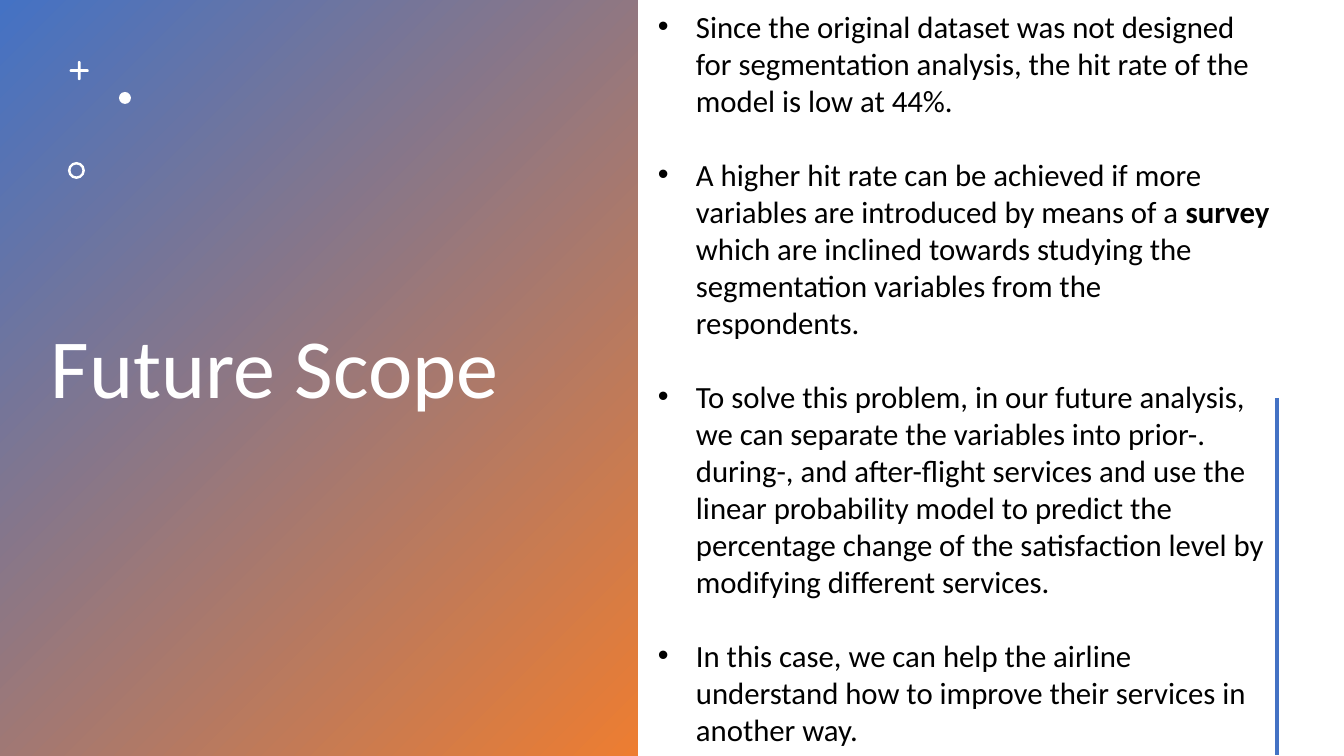
import math

from lxml import etree
from pptx import Presentation
from pptx import util as u
from pptx.dml.color import RGBColor
from pptx.enum import shapes, text
from pptx.oxml import ns

PX = 12192000 / 1344
BLUE = RGBColor(0x44, 0x72, 0xC4)
ORANGE = RGBColor(0xED, 0x7D, 0x31)
WHITE = RGBColor(0xFF, 0xFF, 0xFF)
BLACK = RGBColor(0x00, 0x00, 0x00)


def px(*lengths):
    return [u.Emu(round(length * PX)) for length in lengths]


def add_run(paragraph, words, size, color, bold=False):
    run = paragraph.add_run()
    run.text = words
    run.font.name = "Calibri"
    run.font.size = u.Pt(size)
    run.font.color.rgb = color
    run.font.bold = bold


presentation = Presentation()
presentation.slide_width, presentation.slide_height = px(1344, 756)
slide = presentation.slides.add_slide(presentation.slide_layouts[6])

# Gradient panel
panel = slide.shapes.add_shape(shapes.MSO_SHAPE.RECTANGLE, *px(0, 0, 638, 756))
panel.shadow.inherit = False
panel.line.fill.background()
panel.fill.gradient()
panel.fill.gradient_angle = 315
for stop, color in zip(panel.fill.gradient_stops, (BLUE, ORANGE)):
    stop.color.rgb = color

# Title
title = slide.shapes.add_textbox(*px(41, 42, 592, 658)).text_frame
title.word_wrap = True
title.vertical_anchor = text.MSO_ANCHOR.MIDDLE
title.paragraphs[0].line_spacing = 0.9
add_run(title.paragraphs[0], "Future Scope", size=60, color=WHITE)

# Plus sign with round ends, in tenths of a px
center_x, center_y, reach, radius = 792, 706, 81, 14
outline = []
for arm in range(0, 360, 90):
    arm_x = center_x + reach * math.cos(math.radians(arm))
    arm_y = center_y + reach * math.sin(math.radians(arm))
    for turn in range(arm - 90, arm + 91, 15):
        angle = math.radians(turn)
        outline.append((arm_x + radius * math.cos(angle), arm_y + radius * math.sin(angle)))
    inner = math.radians(arm + 45)
    outline.append((center_x + radius * math.sqrt(2) * math.cos(inner),
                    center_y + radius * math.sqrt(2) * math.sin(inner)))
builder = slide.shapes.build_freeform(*outline[0], scale=PX / 10)
builder.add_line_segments(outline[1:], close=True)
plus = builder.convert_to_shape()

# Dot and ring
dot = slide.shapes.add_shape(shapes.MSO_SHAPE.OVAL, *px(119, 92, 12, 12))
ring = slide.shapes.add_shape(shapes.MSO_SHAPE.DONUT, *px(68, 162, 17, 17))
ring.adjustments[0] = 0.15
for ornament in (plus, dot, ring):
    ornament.shadow.inherit = False
    ornament.fill.solid()
    ornament.fill.fore_color.rgb = WHITE
    ornament.line.fill.background()

# Vertical accent line
accent = slide.shapes.add_connector(shapes.MSO_CONNECTOR.STRAIGHT, *px(1277, 398, 1277, 755))
accent.line.color.rgb = BLUE
accent.line.width = u.Pt(2.25)
etree.SubElement(accent._element.spPr, ns.qn("a:effectLst"))

# Bullet list: each point is a list of (words, bold)
points = [
    [("Since the original dataset was not designed for segmentation analysis, "
      "the hit rate of the model is low at 44%.", False)],
    [("A higher hit rate can be achieved if more variables are introduced by means of a ", False),
     ("survey ", True),
     ("which are inclined towards studying the segmentation variables "
      "from the respondents.", False)],
    [("To solve this problem, in our future analysis, we can separate the variables into "
      "prior-. during-, and after-flight services and use the linear probability model to "
      "predict the percentage change of the satisfaction level by modifying different "
      "services.", False)],
    [("In this case, we can help the airline understand how to improve their services "
      "in another way.", False)],
]
body = slide.shapes.add_textbox(*px(648, -1, 632, 757)).text_frame
body.word_wrap = True
body.vertical_anchor = text.MSO_ANCHOR.MIDDLE
indent = px(38)[0]
for number, point in enumerate(points):
    paragraph = body.add_paragraph() if number else body.paragraphs[0]
    if number:
        paragraph.space_before = u.Pt(26.5)
    for words, bold in point:
        add_run(paragraph, words, size=22, color=BLACK, bold=bold)
    properties = paragraph._p.get_or_add_pPr()
    properties.set("marL", str(indent))
    properties.set("indent", str(-indent))
    etree.SubElement(properties, ns.qn("a:buFont"), typeface="Arial")
    etree.SubElement(properties, ns.qn("a:buChar"), char="•")

presentation.save("out.pptx")
